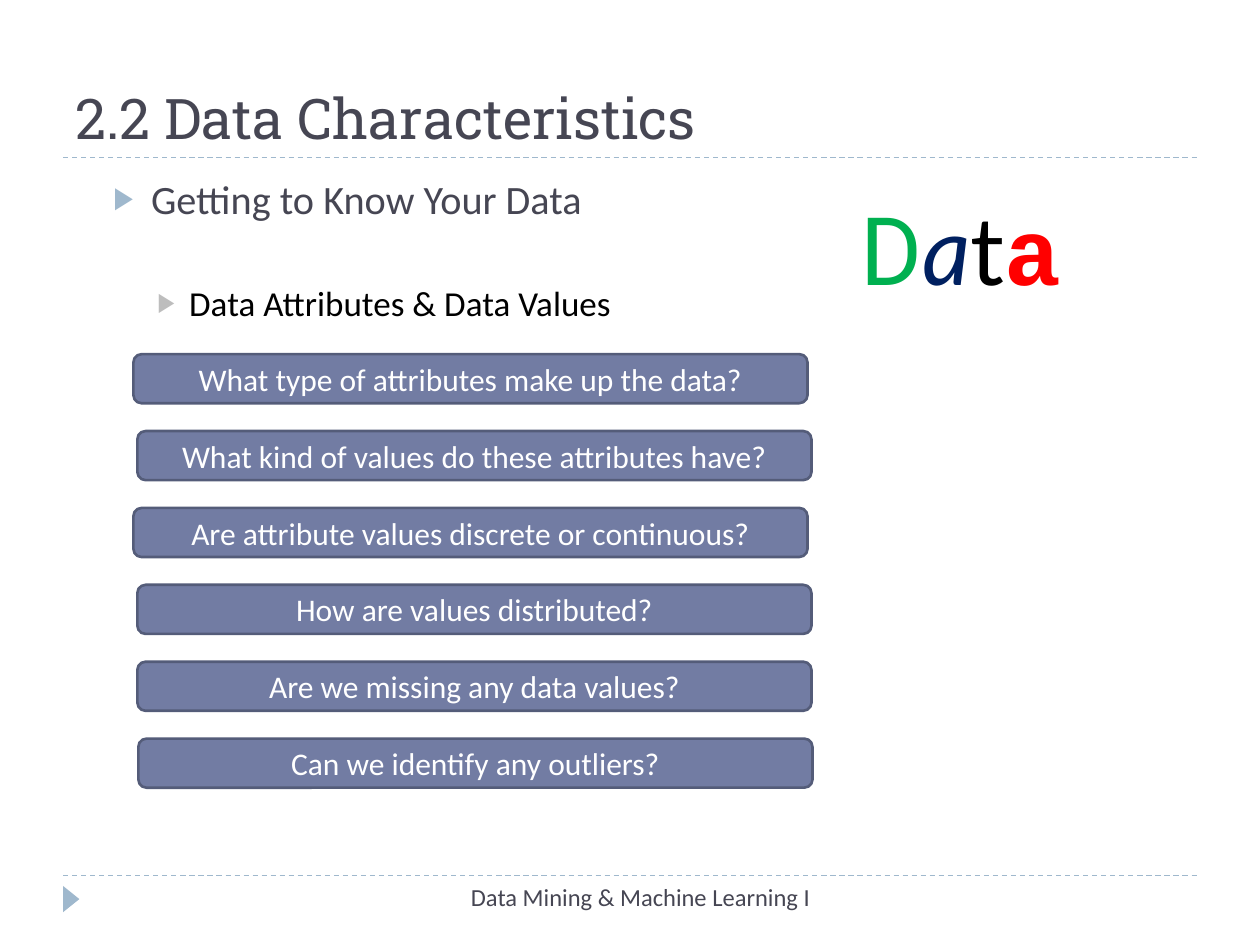
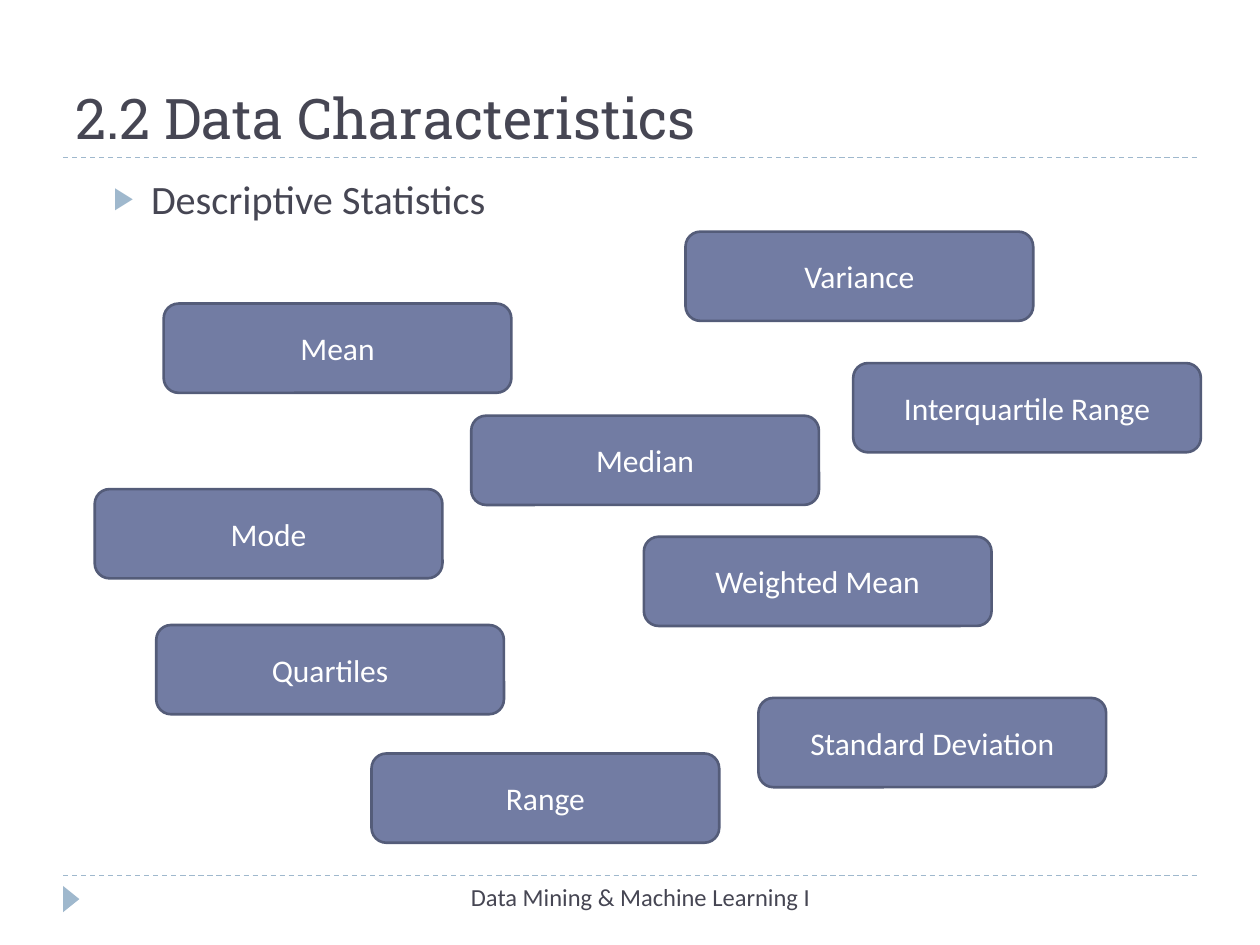
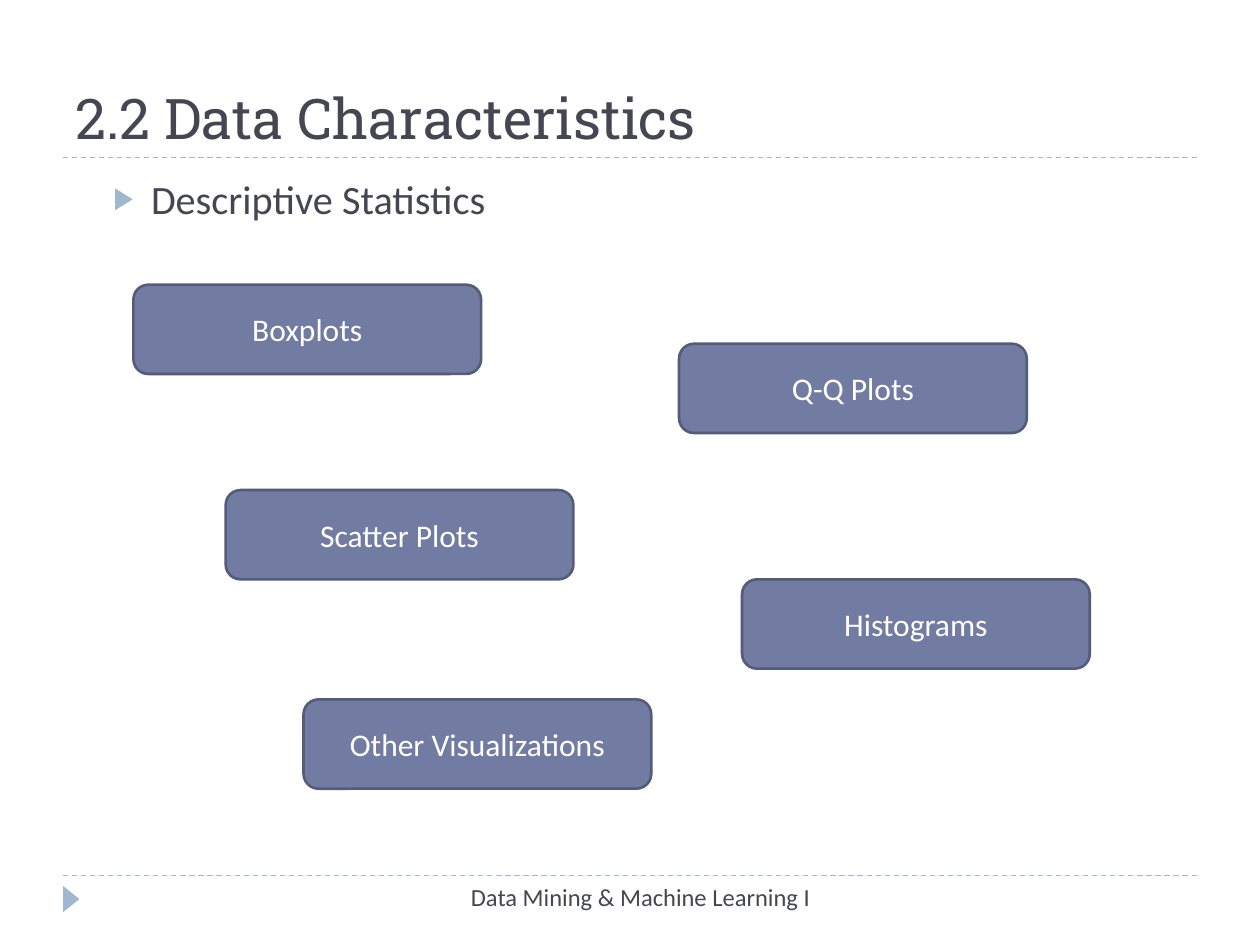
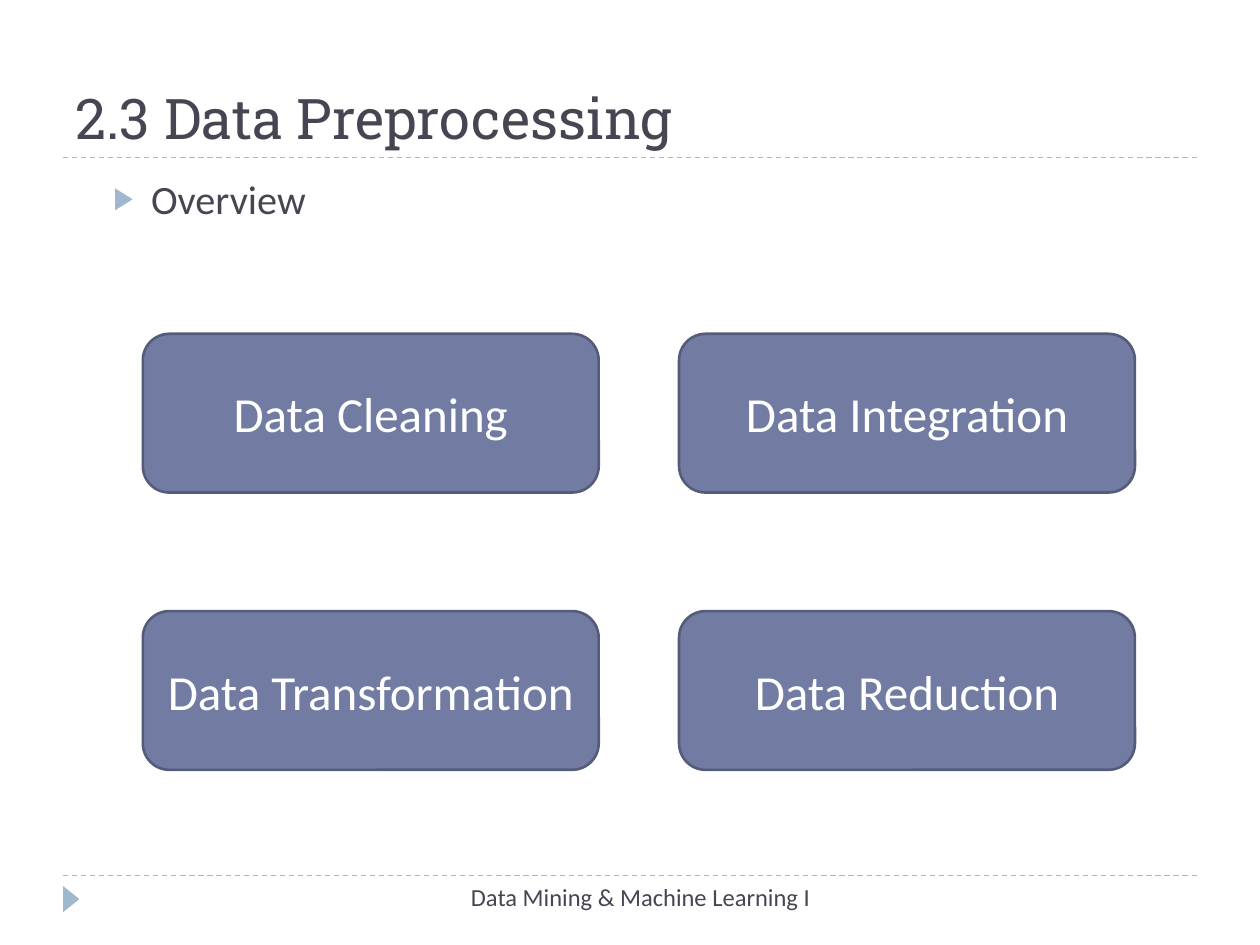
from lxml import etree
from pptx import Presentation
from pptx import util as u
from pptx.dml.color import RGBColor
from pptx.enum import dml, shapes, text
from pptx.oxml.ns import qn

COLOURS = {
    "ink": "464653",
    "accent": "9FB8CD",
    "grey": "BDBDBD",
    "card": "727CA3",
    "card_edge": "545C79",
    "white": "FFFFFF",
    "black": "000000",
    "green": "00B050",
    "navy": "002060",
    "red": "FF0000",
}
TITLE = {"name": "Roboto Slab", "size": u.Pt(32), "color": "ink"}
TOPIC = {"name": "Calibri", "size": u.Pt(23), "color": "ink"}
SUBTOPIC = {"name": "Calibri", "size": u.Pt(20), "color": "black"}
FOOTER = {"name": "Calibri", "size": u.Pt(14), "color": "ink"}
CARD = {"name": "Calibri", "size": u.Pt(18), "color": "white"}
BIG_CARD = {**CARD, "size": u.Pt(28)}

# Bullet levels: left margin and hanging indent in cm, space before in points
LEVELS = [
    {"margin": 1.52, "hang": 0.76, "before": 5, "bullet": "accent", "look": TOPIC},
    {"margin": 2.29, "hang": 0.64, "before": 34, "bullet": "grey", "look": SUBTOPIC},
]

QUESTIONS = [
    (2.69, "What type of attributes make up the data?"),
    (2.77, "What kind of values do these attributes have?"),
    (2.69, "Are attribute values discrete or continuous?"),
    (2.77, "How are values distributed?"),
    (2.77, "Are we missing any data values?"),
    (2.79, "Can we identify any outliers?"),
]
QUESTION_TOP, QUESTION_STEP, QUESTION_SIZE = 7.14, 1.55, (13.59, 0.99)

CARD_SIZE = (7.01, 1.8)
MEASURES = [
    (3.3, 6.12, "Mean"),
    (1.91, 9.86, "Mode"),
    (9.5, 8.38, "Median"),
    (12.98, 10.82, "Weighted Mean"),
    (7.49, 15.19, "Range"),
    (13.82, 4.67, "Variance"),
    (15.29, 14.07, "Standard Deviation"),
    (3.15, 12.6, "Quartiles"),
    (17.2, 7.32, "Interquartile Range"),
]
PLOTS = [
    (4.55, 9.88, "Scatter Plots"),
    (6.12, 14.1, "Other Visualizations"),
    (2.69, 5.74, "Boxplots"),
    (14.96, 11.68, "Histograms"),
    (13.69, 6.93, "Q-Q Plots"),
]
STEPS = [
    ["Data Cleaning", "Data Integration"],
    ["Data Transformation", "Data Reduction"],
]
STEP_LEFTS, STEP_TOPS, STEP_SIZE = (2.88, 13.69), (6.73, 12.32), (9.19, 3.2)


def colour(name):
    return RGBColor.from_string(COLOURS[name])


def cms(*lengths):
    return [u.Cm(length) for length in lengths]


def add_span(para, words, look):
    span = para.add_run()
    span.text = words
    for key, value in look.items():
        if key == "color":
            span.font.color.rgb = colour(value)
        else:
            setattr(span.font, key, value)


def place(box, left, top, width, height):
    box.left, box.top, box.width, box.height = cms(left, top, width, height)


def set_bullet(para, level):
    props = para._p.get_or_add_pPr()
    props.set("marL", str(u.Cm(level["margin"])))
    props.set("indent", str(-u.Cm(level["hang"])))
    tint = etree.SubElement(props, qn("a:buClr"))
    etree.SubElement(tint, qn("a:srgbClr"), val=COLOURS[level["bullet"]])
    etree.SubElement(props, qn("a:buSzPct"), val="76000")
    etree.SubElement(props, qn("a:buChar"), char="▶")


def add_rule(page, top):
    rule = page.shapes.add_connector(
        shapes.MSO_CONNECTOR.STRAIGHT, *cms(1.27, top, 24.13, top))
    rule.line.color.rgb = colour("accent")
    rule.line.width = u.Pt(0.75)
    rule.line.dash_style = dml.MSO_LINE.DASH
    etree.SubElement(rule._element.spPr, qn("a:effectLst"))


def add_frame(page):
    """Draw the rules, corner marker and footer that every slide has."""
    for top in (17.65, 3.18):
        add_rule(page, top)
    marker = page.shapes.add_shape(
        shapes.MSO_SHAPE.ISOSCELES_TRIANGLE, *cms(1.17, 17.96, 0.53, 0.33))
    marker.rotation = 90
    marker.shadow.inherit = False
    marker.fill.solid()
    marker.fill.fore_color.rgb = colour("accent")
    marker.line.fill.background()
    footer = page.shapes.add_textbox(*cms(8.05, 17.65, 9.73, 1.02)).text_frame
    footer.word_wrap = True
    para = footer.paragraphs[0]
    para.alignment = text.PP_ALIGN.CENTER
    add_span(para, "Data Mining & Machine Learning I", FOOTER)


def add_page(deck, heading, *topics):
    """Add a slide with its title and one bullet per level."""
    page = deck.slides.add_slide(deck.slide_layouts[1])
    add_frame(page)
    title, body = page.placeholders
    place(title, 1.27, 0.43, 22.86, 2.74)
    place(body, 1.27, 3.38, 22.86, 13.72)
    for box, anchor in ((title, text.MSO_ANCHOR.BOTTOM), (body, text.MSO_ANCHOR.TOP)):
        box.text_frame.auto_size = text.MSO_AUTO_SIZE.NONE
        box.text_frame.vertical_anchor = anchor
    para = title.text_frame.paragraphs[0]
    para.alignment = text.PP_ALIGN.LEFT
    add_span(para, heading, TITLE)
    for number, (topic, level) in enumerate(zip(topics, LEVELS)):
        frame = body.text_frame
        para = frame.add_paragraph() if number else frame.paragraphs[0]
        para.level = number
        para.space_before = u.Pt(level["before"])
        set_bullet(para, level)
        add_span(para, topic, level["look"])
    return page


def add_card(page, left, top, size, words, look=CARD):
    card = page.shapes.add_shape(
        shapes.MSO_SHAPE.ROUNDED_RECTANGLE, *cms(left, top, *size))
    card.shadow.inherit = False
    card.fill.solid()
    card.fill.fore_color.rgb = colour("card")
    card.line.color.rgb = colour("card_edge")
    card.line.width = u.Pt(1.5)
    card.text_frame.vertical_anchor = text.MSO_ANCHOR.MIDDLE
    para = card.text_frame.paragraphs[0]
    para.alignment = text.PP_ALIGN.CENTER
    add_span(para, words, look)


def add_data_word(page):
    """Write the word Data with each letter in its own style."""
    frame = page.shapes.add_textbox(*cms(17.09, 3.73, 5.21, 2.57)).text_frame
    frame.word_wrap = True
    frame.auto_size = text.MSO_AUTO_SIZE.SHAPE_TO_FIT_TEXT
    letters = [
        ("D", {"name": "Roboto", "color": "green"}),
        ("a", {"name": "Lato", "color": "navy", "italic": True}),
        ("t", {"name": "Lato", "color": "black"}),
        ("a", {"name": "Courier New", "color": "red", "bold": True}),
    ]
    for letter, look in letters:
        add_span(frame.paragraphs[0], letter, {"size": u.Pt(54), **look})


def main():
    deck = Presentation()
    deck.slide_width, deck.slide_height = cms(25.4, 19.05)

    page = add_page(deck, "2.2 Data Characteristics",
                    "Getting to Know Your Data", "Data Attributes & Data Values")
    add_data_word(page)
    for row, (left, question) in enumerate(QUESTIONS):
        add_card(page, left, QUESTION_TOP + row * QUESTION_STEP, QUESTION_SIZE, question)

    for cards in (MEASURES, PLOTS):
        page = add_page(deck, "2.2 Data Characteristics", "Descriptive Statistics")
        for left, top, words in cards:
            add_card(page, left, top, CARD_SIZE, words)

    page = add_page(deck, "2.3 Data Preprocessing", "Overview")
    for top, row in zip(STEP_TOPS, STEPS):
        for left, step in zip(STEP_LEFTS, row):
            add_card(page, left, top, STEP_SIZE, step, BIG_CARD)

    deck.save("out.pptx")


if __name__ == "__main__":
    main()
